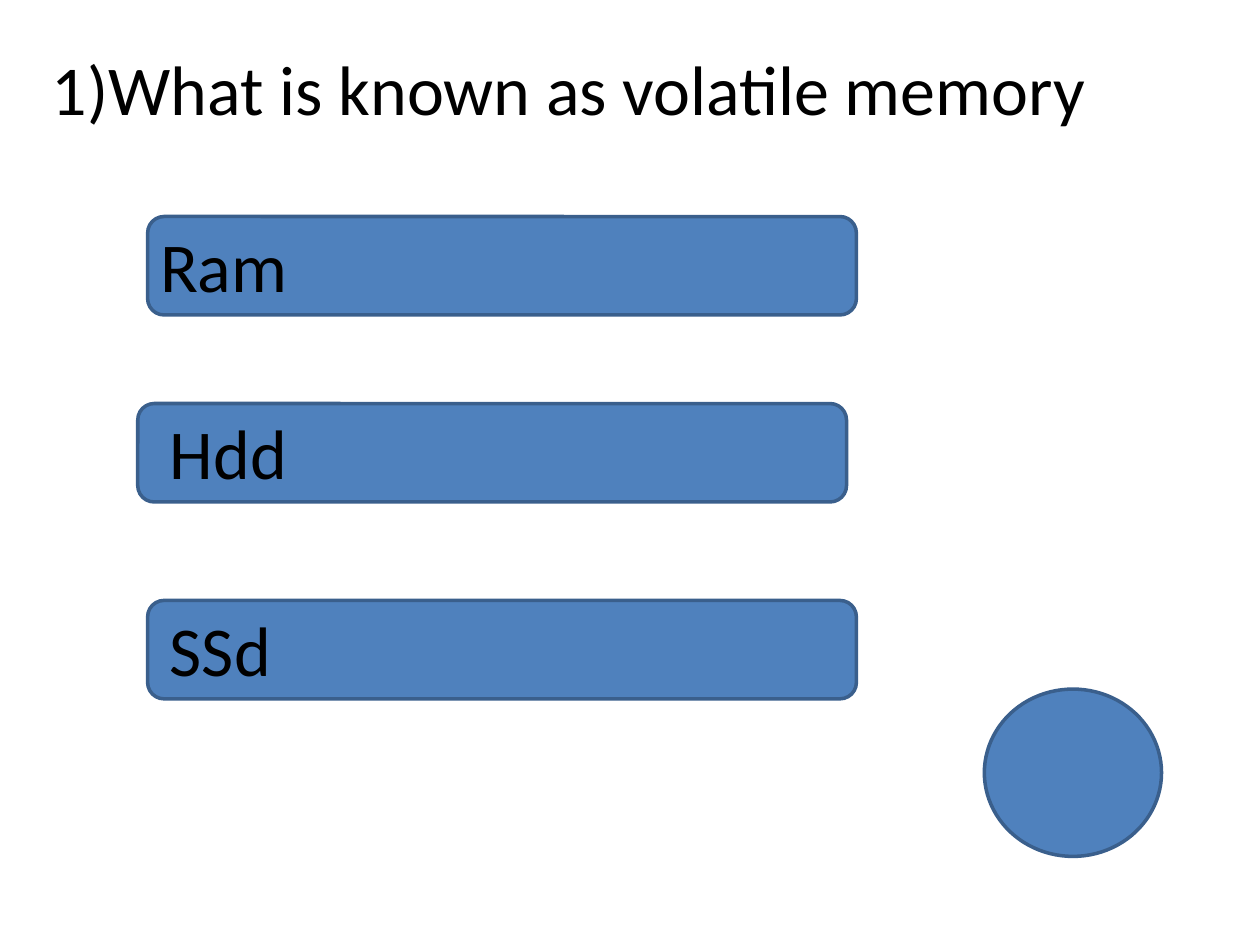
from dataclasses import dataclass

from pptx import Presentation
from pptx.dml.color import RGBColor
from pptx.enum.shapes import MSO_SHAPE as Shape
from pptx.enum.text import MSO_ANCHOR as Anchor, MSO_AUTO_SIZE as AutoSize, PP_ALIGN as Align
from pptx.util import Inches, Pt

TITLE_ONLY = 5


@dataclass(frozen=True)
class Theme:
    font: str = "Calibri"
    text_size: int = 40
    line_width: int = 2
    text: RGBColor = RGBColor.from_string("000000")
    fill: RGBColor = RGBColor.from_string("4F81BD")
    outline: RGBColor = RGBColor.from_string("3A5F8C")


class QuizPage:
    """Draws on a grid of 128 columns by 96 rows of square cells."""

    def __init__(self, deck, theme):
        self.theme = theme
        self.cell = deck.slide_width / 128
        self.page = deck.slides.add_slide(deck.slide_layouts[TITLE_ONLY])

    def place(self, column, row, columns, rows):
        return [round(cells * self.cell) for cells in (column, row, columns, rows)]

    def set_text(self, box, text):
        frame = box.text_frame
        frame.text = text
        frame.word_wrap = True
        frame.auto_size = AutoSize.NONE
        frame.vertical_anchor = Anchor.TOP
        para = frame.paragraphs[0]
        para.alignment = Align.LEFT
        para.font.name = self.theme.font
        para.font.size = Pt(self.theme.text_size)
        para.font.color.rgb = self.theme.text

    def title(self, text, *area):
        box = self.page.shapes.title
        box.left, box.top, box.width, box.height = self.place(*area)
        self.set_text(box, text)

    def label(self, text, *area):
        self.set_text(self.page.shapes.add_textbox(*self.place(*area)), text)

    def shape(self, kind, *area):
        shape = self.page.shapes.add_shape(kind, *self.place(*area))
        shape.shadow.inherit = False
        shape.fill.solid()
        shape.fill.fore_color.rgb = self.theme.fill
        shape.line.color.rgb = self.theme.outline
        shape.line.width = Pt(self.theme.line_width)

    def answer(self, text, row, bar_column, text_column, text_columns):
        self.shape(Shape.ROUNDED_RECTANGLE, bar_column, row, 72, 10)
        self.label(text, text_column, row, text_columns, 10)


def main():
    deck = Presentation()
    deck.slide_width, deck.slide_height = Inches(10), Inches(7.5)
    quiz = QuizPage(deck, Theme())

    quiz.title("1)What is known as volatile memory", 4, 4, 116, 10)
    answers = [
        ("Ram", 22, 15, 15, 65),
        ("Hdd", 41, 14, 16, 69),
        ("SSd", 61, 15, 16, 65),
    ]
    for answer in answers:
        quiz.answer(*answer)
    quiz.shape(Shape.OVAL, 100, 70, 18, 17)

    deck.save("out.pptx")


if __name__ == "__main__":
    main()
